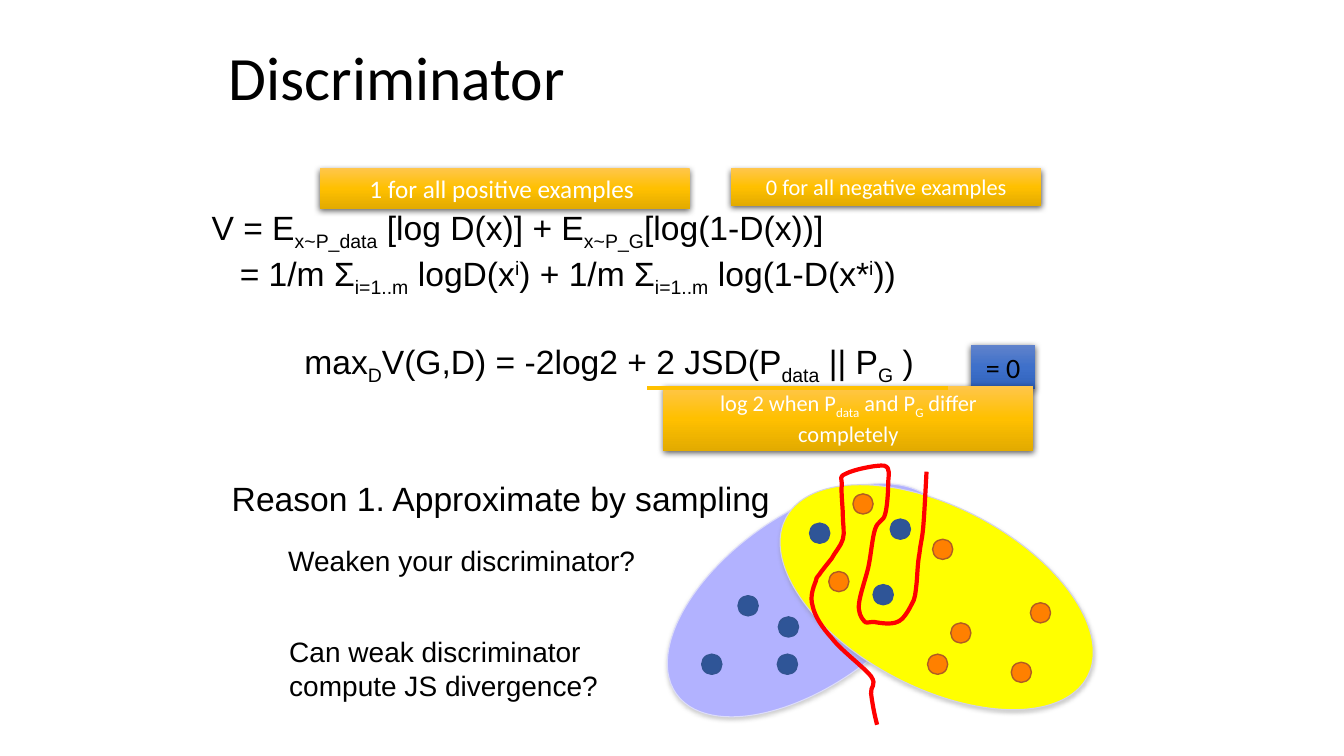
from lxml.etree import SubElement
from copy import deepcopy
from pptx import Presentation
from pptx.dml.color import RGBColor
from pptx.enum.shapes import MSO_CONNECTOR, MSO_SHAPE
from pptx.enum.text import MSO_ANCHOR, MSO_AUTO_SIZE, PP_ALIGN
from pptx.oxml.ns import qn
from pptx.util import Inches, Pt

deck = Presentation()
deck.slide_width, deck.slide_height = Inches(13.33), Inches(7.5)
page = deck.slides.add_slide(deck.slide_layouts[6])
cell = deck.slide_width // 1333
color = RGBColor.from_string


def write(shape, lines, size, font, ink="000000", align=PP_ALIGN.LEFT):
    frame = shape.text_frame
    frame.word_wrap = True
    frame.auto_size = MSO_AUTO_SIZE.SHAPE_TO_FIT_TEXT
    for number, line in enumerate(lines):
        para = frame.add_paragraph() if number else frame.paragraphs[0]
        para.alignment = align
        para.font.size, para.font.name = Pt(size), font
        para.font.color.rgb = color(ink)
        for index, piece in enumerate(line.replace("}", "{").split("{")):
            if piece:
                span = para.add_run()
                span.text = piece.lstrip("^")
                if index % 2:
                    shift = "30000" if piece.startswith("^") else "-25000"
                    span.font._element.set("baseline", shift)
    return frame


def cast_shadow(shape, ink, opacity, blur, distance):
    shape.shadow.inherit = False
    effects = shape._element.spPr.find(qn("a:effectLst"))
    shadow = SubElement(effects, qn("a:outerShdw"), blurRad=str(Pt(blur)),
                        dist=str(Pt(distance)), dir="5400000", rotWithShape="0")
    tone = SubElement(shadow, qn("a:srgbClr"), val=ink)
    SubElement(tone, qn("a:alpha"), val=str(opacity * 1000))


title = page.shapes.add_textbox(217 * cell, 17 * cell, 900 * cell, 125 * cell)
title_frame = write(title, ["Discriminator"], 44, "Calibri")
title_frame.auto_size = MSO_AUTO_SIZE.NONE
title_frame.vertical_anchor = MSO_ANCHOR.MIDDLE
title_frame.paragraphs[0].line_spacing = 0.9

reason = page.shapes.add_textbox(220 * cell, 469 * cell, 649 * cell, 51 * cell)
write(reason, ["Reason 1. Approximate by sampling"], 24, "Arial")

gold = ["FFC64B", "FFC000", "E3AB00"]
blue = ["6183CB", "3E70CA", "3062BB"]
labels = [
    (317, 167, 367, 40, gold, "1 for all positive examples ", 18, "FFFFFF"),
    (725, 167, 308, 37, gold, "0 for all negative examples", 16, "FFFFFF"),
    (963, 342, 64, 44, blue, "= 0", 20, "000000"),
    (658, 383, 367, 64, gold, "log 2 when P{data} and P{G} differ completely", 16, "FFFFFF"),
]
for left, top, width, height, shades, text, size, ink in labels:
    box = page.shapes.add_shape(MSO_SHAPE.RECTANGLE, left * cell, top * cell, width * cell, height * cell)
    box.fill.gradient()
    box.fill.gradient_angle = 270
    stop_list = box._element.spPr.find(qn("a:gradFill")).find(qn("a:gsLst"))
    stop_list.insert(1, deepcopy(stop_list[0]))
    for stop, shade, position in zip(box.fill.gradient_stops, shades, (0, 0.5, 1)):
        stop.color.rgb = color(shade)
        stop.position = position
    box.line.fill.background()
    cast_shadow(box, "000000", 63, 4.5, 1.5)
    write(box, [text], size, "Calibri", ink, PP_ALIGN.CENTER)

underline = page.shapes.add_connector(MSO_CONNECTOR.STRAIGHT, 642 * cell, 385 * cell, 940 * cell, 385 * cell)
underline.line.color.rgb = color("FFC000")
underline.line.width = Pt(3)
SubElement(underline._element.spPr, qn("a:effectLst"))

regions = [
    (641, 511, 319, 169, -35.7, "B2B2FF", "DCDCFA"),
    (760, 503, 338, 179, 27.7, "FFFF00", "D4D3E7"),
]
for left, top, width, height, angle, fill, edge in regions:
    region = page.shapes.add_shape(MSO_SHAPE.OVAL, left * cell, top * cell, width * cell, height * cell)
    region.rotation = angle
    region.fill.solid()
    region.fill.fore_color.rgb = color(fill)
    region.line.color.rgb = color(edge)
    region.line.width = Pt(0.75)
    cast_shadow(region, "808080", 38, 3.1, 1.6)

samples = [
    ("2F5597", "325491", [(696, 649), (771, 649), (732, 591), (866, 580),
                          (803, 519), (883, 515), (772, 612)]),
    ("FF8000", "AF5C24", [(822, 567), (846, 490), (925, 535), (943, 618),
                          (920, 649), (1003, 657), (1022, 598)]),
]
for fill, edge, spots in samples:
    for left, top in spots:
        dot = page.shapes.add_shape(MSO_SHAPE.OVAL, left * cell, top * cell, 20 * cell, 20 * cell)
        dot.shadow.inherit = False
        dot.fill.solid()
        dot.fill.fore_color.rgb = color(fill)
        dot.line.color.rgb = color(edge)
        dot.line.width = Pt(1)

boundary_points = [
    (918, 487), (917, 507), (916, 520), (915, 534), (913, 539), (912, 549),
    (910, 559), (910, 571), (909, 580), (908, 588), (908, 594), (904, 600),
    (901, 606), (896, 615), (890, 617), (884, 620), (872, 618), (867, 617),
    (861, 617), (859, 619), (857, 616), (854, 613), (851, 607), (852, 599),
    (853, 590), (858, 576), (861, 564), (864, 551), (865, 534), (868, 525),
    (871, 516), (876, 518), (878, 510), (880, 503), (881, 488), (881, 480),
    (881, 472), (884, 464), (877, 462), (870, 461), (846, 466), (839, 470),
    (832, 473), (835, 474), (835, 481), (834, 488), (836, 503), (836, 512),
    (836, 521), (838, 528), (836, 535), (834, 542), (828, 548), (825, 554),
    (821, 559), (817, 564), (814, 568), (812, 572), (810, 571), (809, 577),
    (807, 582), (803, 592), (806, 601), (808, 611), (815, 622), (825, 633),
    (834, 645), (857, 662), (864, 671), (870, 680), (863, 681), (864, 688),
    (865, 696), (867, 708), (870, 719),
]
outline = page.shapes.build_freeform(919, 468, scale=cell)
outline.add_line_segments(boundary_points, close=False)
boundary = outline.convert_to_shape()
boundary.shadow.inherit = False
boundary.fill.background()
boundary.line.color.rgb = color("FF0000")
boundary.line.width = Pt(3)
curve = next(boundary._element.iter(qn("a:path")))
steps = curve.findall(qn("a:lnTo"))
for start in range(0, len(steps), 3):
    bend = SubElement(curve, qn("a:cubicBezTo"))
    for step in steps[start:start + 3]:
        bend.append(step[0])
        curve.remove(step)

questions = [
    (276, 534, 366, 44, "Weaken your discriminator?"),
    (277, 625, 382, 77, "Can weak discriminator compute JS divergence?"),
]
for left, top, width, height, text in questions:
    question = page.shapes.add_textbox(left * cell, top * cell, width * cell, height * cell)
    write(question, [text], 20, "Arial")

value = page.shapes.add_textbox(200 * cell, 200 * cell, 775 * cell, 121 * cell)
value_frame = write(value, [
    "V = E{x~P_data} [log D(x)] + E{x~P_G}[log(1-D(x))]",
    "= 1/m Σ{i=1..m} logD(x{^i}) + 1/m Σ{i=1..m} log(1-D(x*{^i}))",
], 24, "Arial")
value_frame.paragraphs[1]._p.get_or_add_pPr().set("marL", str(28 * cell))

maximum = page.shapes.add_textbox(292 * cell, 333 * cell, 641 * cell, 51 * cell)
maximum_frame = write(maximum, ["max{D}V(G,D) = -2log2 + 2 JSD(P{data} || P{G} )"], 24, "Arial")
maximum_frame.word_wrap = False

deck.save("out.pptx")
